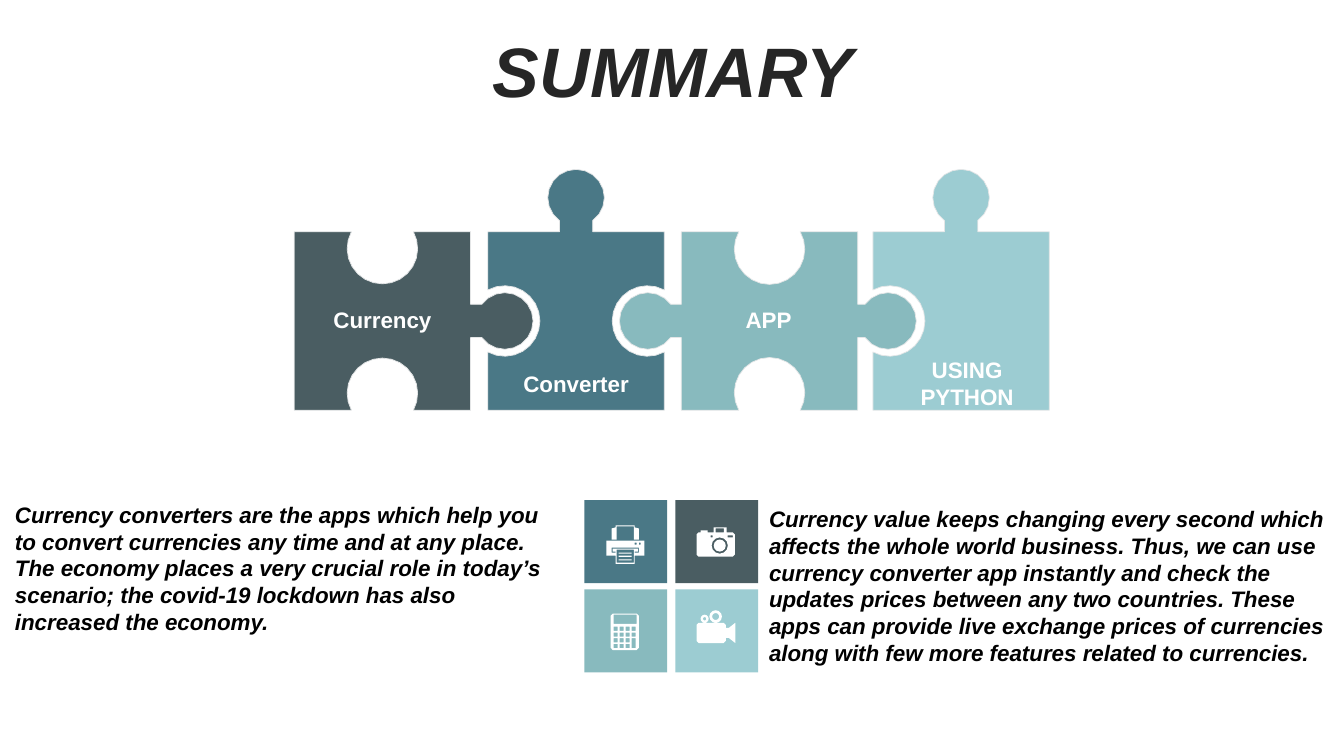
from dataclasses import dataclass
from math import acos, asin, cos, degrees, radians, sin

from pptx import Presentation
from pptx import util as u
from pptx.dml.color import RGBColor
from pptx.enum import shapes, text


@dataclass(frozen=True)
class Theme:
    font: str = "Arial"
    ink: str = "262626"
    black: str = "000000"
    white: str = "FFFFFF"
    edge: str = "E4E6E7"
    slate: str = "4A5D62"
    blue: str = "4A7886"
    sage: str = "88BABE"
    sky: str = "9CCCD2"
    head: int = 50
    body: int = 16


def arc(cx, cy, r, start, end, steps):
    turns = [radians(start + (end - start) * i / steps) for i in range(steps + 1)]
    return [(cx + r * cos(a), cy + r * sin(a)) for a in turns]


def draw(rings, fill, left=0, top=0, edge=None):
    pen = None
    for ring in rings:
        if isinstance(ring, list):
            dots = ring
        elif len(ring) == 3:
            dots = arc(*ring, 0, 360, 12)[:-1]
        else:
            x1, y1, x2, y2 = ring
            dots = [(x1, y1), (x2, y1), (x2, y2), (x1, y2)]
        dots = [((left + x) * 100, (top + y) * 100) for x, y in dots]
        if pen is None:
            pen = slide.shapes.build_freeform(*dots[0], scale=u.Pt(0.01))
        else:
            pen.move_to(*dots[0])
        pen.add_line_segments(dots[1:], close=True)
    shape = pen.convert_to_shape()
    shape.shadow.inherit = False
    shape.fill.solid()
    shape.fill.fore_color.rgb = RGBColor.from_string(fill)
    if edge:
        shape.line.color.rgb = RGBColor.from_string(edge)
        shape.line.width = u.Pt(0.5)
    else:
        shape.line.fill.background()


theme = Theme()
deck = Presentation()
deck.slide_width, deck.slide_height = u.Pt(960), u.Pt(540)
slide = deck.slides.add_slide(deck.slide_layouts[5])

title = slide.shapes.title
title.left, title.top, title.width, title.height = map(u.Pt, (25.2, 26.6, 911.5, 56.9))
frame = title.text_frame
frame.text = "SUMMARY"
frame.vertical_anchor = text.MSO_ANCHOR.MIDDLE
para = frame.paragraphs[0]
para.alignment = text.PP_ALIGN.CENTER
para.line_spacing = 0.8
para.font.name, para.font.size = theme.font, u.Pt(theme.head)
para.font.bold = para.font.italic = True
para.font.color.rgb = RGBColor.from_string(theme.ink)

wide, high, roof = 126, 127.4, 165.6
knob, neck, hole = 20.2, 11.9, 25.2
pieces = [
    (210.2, theme.slate, (-12, 24.4, -12, 0)),
    (348.5, theme.blue, (24.4, -12, 0, -12)),
    (486.7, theme.sage, (-12.4, 21.6, -12.4, 24)),
    (623.5, theme.sky, (24.4, 0, 0, -12)),
]
for left, fill, bumps in pieces:
    x, y, tx, ty = 0, 0, 1, 0
    path = []
    for bump, side in zip(bumps, (wide, high, wide, high)):
        path.append((x, y))
        curve = []
        if bump > 0:
            start = 180 + degrees(acos(neck / knob))
            curve = [(-neck, 0)] + arc(0, bump, knob, start, 180 - start, 16) + [(neck, 0)]
        elif bump < 0:
            start = 180 - degrees(asin(-bump / hole))
            curve = arc(0, bump, hole, start, 540 - start, 16)
        for along, out in curve:
            along += side / 2
            path.append((x + along * tx + out * ty, y + along * ty - out * tx))
        x, y = x + side * tx, y + side * ty
        tx, ty = -ty, tx
    draw([path], fill, left, roof, theme.edge)

tiles = [(0, 0, theme.blue), (1, 0, theme.slate), (0, 1, theme.sage), (1, 1, theme.sky)]

prints = [
    [(15.8, 28.8), (42.8, 28.8), (42.8, 39.6), (36, 39.6), (36, 45.4),
     (22.3, 45.4), (22.3, 39.6), (15.8, 39.6)],
    (23, 35.3, 35.3, 44.6),
    [(19.4, 33.8), (38.9, 33.8), (38.9, 37.4), (36, 37.4), (36, 36.7), (38.2, 36.7),
     (38.2, 34.6), (20.2, 34.6), (20.2, 36.7), (22.3, 36.7), (22.3, 37.4), (19.4, 37.4)],
    [(22.3, 18), (36, 18), (36, 19.4), (38.9, 20.2), (38.9, 28.1), (35.3, 28.1),
     (35.3, 18.7), (23, 18.7), (23, 28.1), (19.4, 28.1), (19.4, 20.2), (22.3, 19.4)],
    (36, 30.3, 37.4, 31.7), (38.9, 30.3, 40.3, 31.7),
] + [(24.5, y, 33.8, y + 0.8) for y in (37.4, 39.6, 42.2)]

photos = [
    [(16.6, 23), (41, 23), (42.5, 24.5), (42.5, 38.8), (41, 40.3),
     (16.6, 40.3), (15.1, 38.8), (15.1, 24.5)],
    (18, 21.6, 23, 23), (27.4, 19.4, 36.7, 23), (28.8, 20.2, 34.6, 23),
    (31.7, 32.4, 5.8), (31.7, 32.4, 4.3),
    (25.2, 25.2, 26.6, 26.6), (37.4, 25.2, 41, 26.6),
]

counts = [
    [(20.3, 17.2), (37.4, 17.2), (38.9, 18.7), (38.9, 41.7), (37.4, 43.2),
     (20.3, 43.2), (18.8, 41.7), (18.8, 18.7)],
    (20.9, 18, 37.4, 24.5),
]
for col in range(4):
    for row in range(4):
        if (col, row) != (3, 3):
            x, y = 20.9 + 4.3 * col, 26.6 + 4.1 * row
            tall = 7 if (col, row) == (3, 2) else 2.9
            counts.append((x, y, x + 2.9, y + tall))

films = [
    [(16.6, 23.8), (34.5, 23.8), (36, 25.3), (36, 27.4), (38.2, 27.4), (42.8, 23.8),
     (42.8, 38.2), (38.2, 34.6), (36, 34.6), (36, 36.7), (34.5, 38.2), (16.6, 38.2),
     (15.1, 36.7), (15.1, 25.3)],
    (20.9, 20.9, 2.9), (20.9, 20.9, 1.2), (28.8, 19.3, 4.5), (28.8, 19.3, 2.5),
]

for (col, row, fill), rings in zip(tiles, [prints, photos, counts, films]):
    left, top = 417.4 + 65 * col, 357.3 + 63.8 * row
    tile = slide.shapes.add_shape(shapes.MSO_SHAPE.RECTANGLE, *map(u.Pt, (left, top, 59.2, 59.2)))
    tile.shadow.inherit = False
    tile.fill.solid()
    tile.fill.fore_color.rgb = RGBColor.from_string(fill)
    tile.line.fill.background()
    draw(rings, theme.white, left, top)

notes = [
    ("Currency", 213.8, 215.3, 118.8, 26.6, True),
    ("Converter", 352.1, 260.6, 118.8, 26.6, True),
    ("APP", 489.6, 215.3, 118.8, 26.6, True),
    ("USING PYTHON", 631.4, 250.6, 118.8, 46.1, True),
    ("Currency converters are the apps which help you to convert currencies any time "
     "and at any place. The economy places a very crucial role in today’s scenario; "
     "the covid-19 lockdown has also increased the economy.",
     3.6, 354.2, 407.5, 104.4, False),
    ("Currency value keeps changing every second which affects the whole world business. "
     "Thus, we can use currency converter app instantly and check the updates prices "
     "between any two countries. These apps can provide live exchange prices of "
     "currencies along with few more features related to currencies.",
     542.2, 357.1, 418.3, 123.8, False),
]
for words, left, top, width, height, label in notes:
    frame = slide.shapes.add_textbox(*map(u.Pt, (left, top, width, height))).text_frame
    frame.word_wrap = True
    frame.text = words
    para = frame.paragraphs[0]
    para.alignment = text.PP_ALIGN.CENTER if label else text.PP_ALIGN.LEFT
    para.font.name, para.font.size = theme.font, u.Pt(theme.body)
    para.font.bold, para.font.italic = True, not label
    para.font.color.rgb = RGBColor.from_string(theme.white if label else theme.black)

deck.save("out.pptx")
